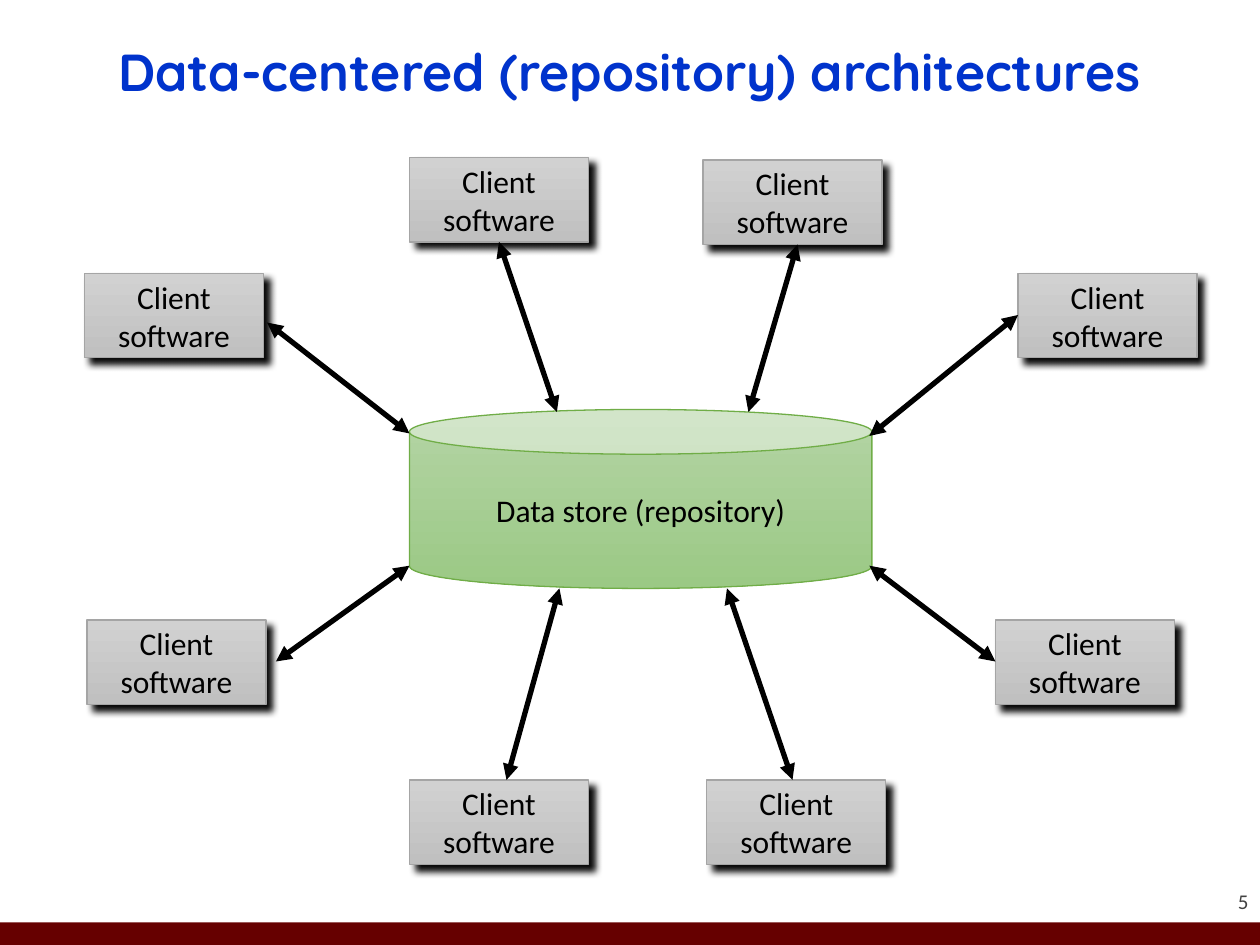
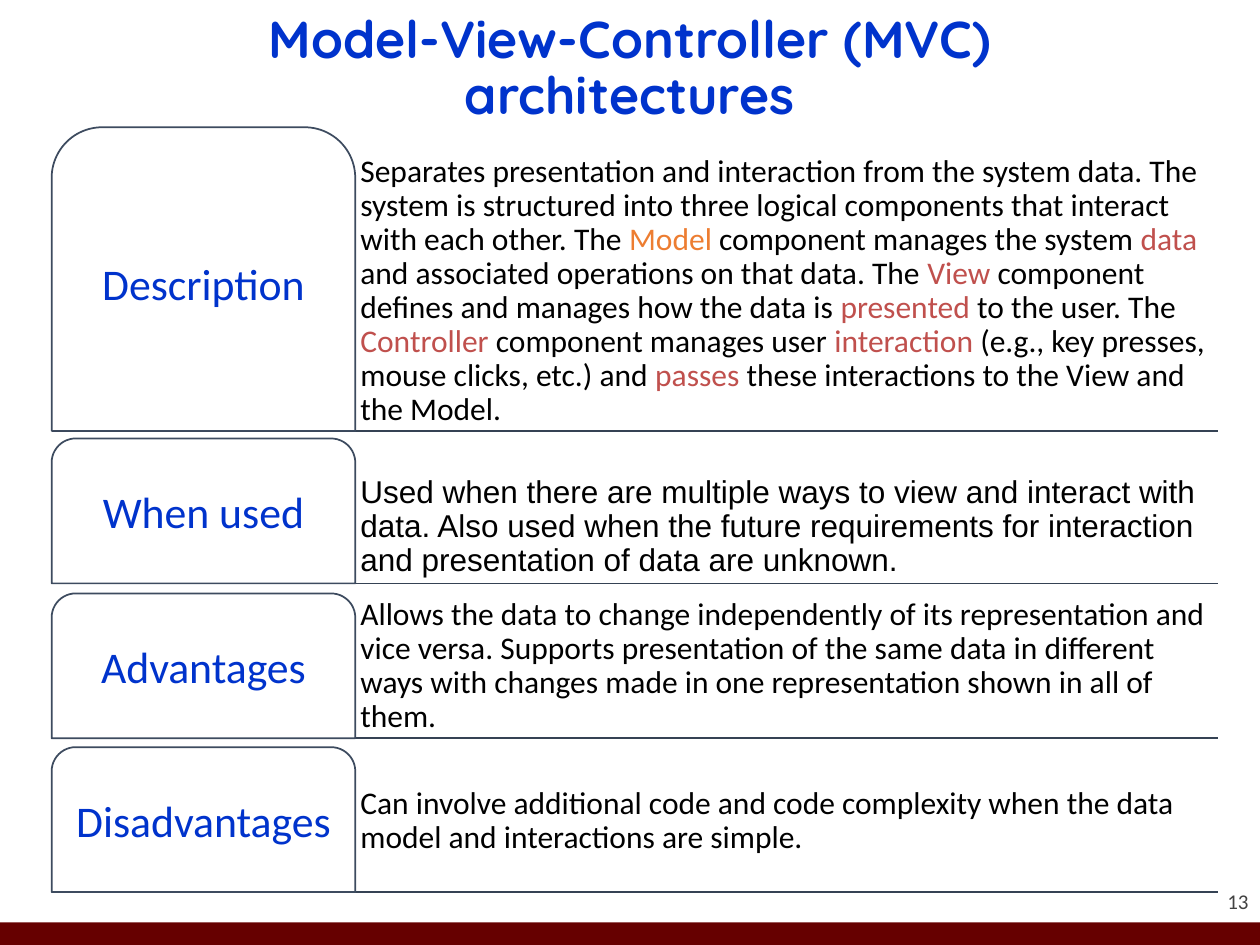
from pptx import Presentation
from pptx.dml.color import RGBColor
from pptx.enum import shapes, text
from pptx.oxml import ns
from pptx.util import Inches, Pt
from lxml import etree

TITLE_BLUE = RGBColor(0x00, 0x33, 0xCC)
BAND_RED = RGBColor(0x66, 0x00, 0x00)
NUMBER_GRAY = RGBColor(0x42, 0x42, 0x42)
BLACK = RGBColor(0x00, 0x00, 0x00)
WHITE = RGBColor(0xFF, 0xFF, 0xFF)
SHADOW = RGBColor(0x0C, 0x0C, 0x0C)
GREEN_FILL = (RGBColor(0xB4, 0xD4, 0xA5), RGBColor(0x9B, 0xC9, 0x85))
GREEN_LINE = RGBColor(0x70, 0xAD, 0x47)
GRAY_FILL = (RGBColor(0xD1, 0xD1, 0xD1), RGBColor(0xC0, 0xC0, 0xC0))
GRAY_LINE = RGBColor(0xA5, 0xA5, 0xA5)
RULE = RGBColor(0x35, 0x42, 0x54)
TAB_LINE = RGBColor(0x3D, 0x4B, 0x5F)
ORANGE = RGBColor(0xED, 0x7D, 0x31)
RED = RGBColor(0xC0, 0x50, 0x4D)

TITLE_FONT, BODY_FONT = "Quicksand", "Calibri"

CLIENT_SIZE = (1.42, 0.67)
CLIENT_CORNERS = [(0.67, 2.17), (3.25, 1.25), (5.58, 1.27), (8.08, 2.17),
                  (0.69, 4.92), (7.9, 4.92), (3.25, 6.19), (5.61, 6.19)]
ARROWS = [((3.96, 1.92), (4.42, 3.27)), ((6.33, 1.94), (5.94, 3.27)),
          ((8.08, 2.5), (6.9, 3.46)), ((2.12, 2.56), (3.25, 3.44)),
          ((4.44, 4.67), (4.02, 6.19)), ((5.77, 4.67), (6.29, 6.19)),
          ((6.9, 4.49), (7.9, 5.25)), ((3.25, 4.49), (2.19, 5.25))]

TAB_LEFT, TAB_WIDTH, RULE_RIGHT = 0.41, 2.41, 9.67
TEXT_LEFT = TAB_LEFT + TAB_WIDTH

DESCRIPTION = [
    ("Separates presentation and interaction from the system data. The system is "
     "structured into three logical components that interact with each other. The ", BLACK),
    ("Model", ORANGE),
    (" component manages the system ", BLACK),
    ("data", RED),
    (" and associated operations on that data. The ", BLACK),
    ("View", RED),
    (" component defines and manages how the data is ", BLACK),
    ("presented", RED),
    (" to the user. The ", BLACK),
    ("Controller", RED),
    (" component manages user ", BLACK),
    ("interaction", RED),
    (" (e.g., key presses, mouse clicks, etc.) and ", BLACK),
    ("passes", RED),
    (" these interactions to the View and the Model.", BLACK),
]
WHEN_USED = [("Used when there are multiple ways to view and interact with data. Also used "
              "when the future requirements for interaction and presentation of data are "
              "unknown.", BLACK)]
ADVANTAGES = [("Allows the data to change independently of its representation and vice "
               "versa. Supports presentation of the same data in different ways with "
               "changes made in one representation shown in all of them.", BLACK)]
DISADVANTAGES = [("Can involve additional code and code complexity when the data model and "
                  "interactions are simple.", BLACK)]

# label, tab top, rule height, text top, text bottom, text runs, font
MVC_ROWS = [
    ("Description", 1.01, 3.42, 0.93, 3.43, DESCRIPTION, BODY_FONT),
    ("When used", 3.48, 4.63, 3.48, 4.63, WHEN_USED, "Arial"),
    ("Advantages", 4.71, 5.86, 4.69, 5.87, ADVANTAGES, BODY_FONT),
    ("Disadvantages", 5.93, 7.08, 5.93, 6.83, DISADVANTAGES, BODY_FONT),
]


def write(shape, runs, size, font=BODY_FONT, align=text.PP_ALIGN.CENTER,
          anchor=text.MSO_ANCHOR.MIDDLE, spacing=None, bold=False, inset=None):
    """Fill a shape with one paragraph of (words, colour) runs."""
    frame = shape.text_frame
    frame.word_wrap = True
    frame.auto_size = text.MSO_AUTO_SIZE.NONE
    frame.vertical_anchor = anchor
    if inset is not None:
        frame.margin_left = frame.margin_right = Inches(inset)
        frame.margin_top = frame.margin_bottom = Inches(inset)
    paragraph = frame.paragraphs[0]
    paragraph.alignment = align
    paragraph.line_spacing = spacing
    for words, color in runs:
        run = paragraph.add_run()
        run.text = words
        run.font.name = font
        run.font.size = Pt(size)
        run.font.bold = bold
        run.font.color.rgb = color


def add_text(slide, left, top, width, height, runs, size, **style):
    box = slide.shapes.add_textbox(*map(Inches, (left, top, width, height)))
    write(box, runs, size, **style)


def add_shape(slide, kind, left, top, width, height, fill, line=None, line_width=0.75):
    """Add a preset shape; a pair of fill colours gives a downward gradient."""
    shape = slide.shapes.add_shape(kind, *map(Inches, (left, top, width, height)))
    shape.shadow.inherit = False
    if isinstance(fill, RGBColor):
        shape.fill.solid()
        shape.fill.fore_color.rgb = fill
    else:
        shape.fill.gradient()
        shape.fill.gradient_angle = 270
        for stop, color in zip(shape.fill.gradient_stops, fill):
            stop.color.rgb = color
    if line is None:
        shape.line.fill.background()
    else:
        shape.line.color.rgb = line
        shape.line.width = Pt(line_width)
    return shape


def add_drop_shadow(shape):
    effects = shape.element.spPr.find(ns.qn("a:effectLst"))
    shadow = etree.SubElement(effects, ns.qn("a:outerShdw"), blurRad=str(Pt(4)),
                              dist=str(Pt(5)), dir=str(45 * 60000),
                              algn="tl", rotWithShape="0")
    etree.SubElement(shadow, ns.qn("a:srgbClr"), val=str(SHADOW))


def add_line(slide, start, end, color, width, arrows=False):
    connector = slide.shapes.add_connector(shapes.MSO_CONNECTOR.STRAIGHT,
                                           *map(Inches, (*start, *end)))
    connector.line.color.rgb = color
    connector.line.width = Pt(width)
    properties = connector.element.spPr
    if arrows:
        outline = properties.find(ns.qn("a:ln"))
        for tag in ("a:headEnd", "a:tailEnd"):
            etree.SubElement(outline, ns.qn(tag), type="triangle")
    etree.SubElement(properties, ns.qn("a:effectLst"))


def add_slide(presentation, title, title_top, number):
    """Add a slide with its title, bottom band and slide number."""
    slide = presentation.slides.add_slide(presentation.slide_layouts[5])
    add_shape(slide, shapes.MSO_SHAPE.RECTANGLE, 0, 7.32, 10, 0.18, BAND_RED)
    add_text(slide, 9.08, 6.85, 0.83, 0.4, [(number, NUMBER_GRAY)], 12,
             align=text.PP_ALIGN.RIGHT, anchor=text.MSO_ANCHOR.BOTTOM, inset=0)
    heading = slide.shapes.title
    heading.left, heading.top = Inches(0.69), Inches(title_top)
    heading.width, heading.height = Inches(8.62), Inches(0.94)
    write(heading, [(title, TITLE_BLUE)], 29.7, font=TITLE_FONT, spacing=0.9, bold=True)
    return slide


def add_client(slide, left, top):
    client = add_shape(slide, shapes.MSO_SHAPE.FLOWCHART_PROCESS, left, top,
                       *CLIENT_SIZE, GRAY_FILL, GRAY_LINE)
    add_drop_shadow(client)
    write(client, [("Client software", BLACK)], 18)


def add_mvc_row(slide, label, top, bottom, text_top, text_bottom, runs, font):
    add_line(slide, (TAB_LEFT, bottom), (RULE_RIGHT, bottom), RULE, 1)
    add_text(slide, TEXT_LEFT, text_top, RULE_RIGHT - TEXT_LEFT, text_bottom - text_top,
             runs, 18, font=font, align=text.PP_ALIGN.LEFT,
             anchor=text.MSO_ANCHOR.BOTTOM, spacing=0.9, inset=0.04)
    tab = add_shape(slide, shapes.MSO_SHAPE.ROUND_2_SAME_RECTANGLE, TAB_LEFT, top,
                    TAB_WIDTH, bottom - top, WHITE, TAB_LINE, 1)
    write(tab, [(label, TITLE_BLUE)], 25, spacing=0.9, inset=0.05)


def build_repository_slide(presentation):
    slide = add_slide(presentation, "Data-centered (repository) architectures", 0.12, "5")
    store = add_shape(slide, shapes.MSO_SHAPE.CAN, 3.25, 3.25, 3.67, 1.42,
                      GREEN_FILL, GREEN_LINE)
    write(store, [("Data store (repository)", BLACK)], 18)
    for left, top in CLIENT_CORNERS:
        add_client(slide, left, top)
    for start, end in ARROWS:
        add_line(slide, start, end, BLACK, 3, arrows=True)


def build_mvc_slide(presentation):
    slide = add_slide(presentation, "Model-View-Controller (MVC) architectures", 0.08, "13")
    for row in MVC_ROWS:
        add_mvc_row(slide, *row)


def main():
    presentation = Presentation()
    presentation.slide_width, presentation.slide_height = Inches(10), Inches(7.5)
    build_repository_slide(presentation)
    build_mvc_slide(presentation)
    presentation.save("out.pptx")


if __name__ == "__main__":
    main()
